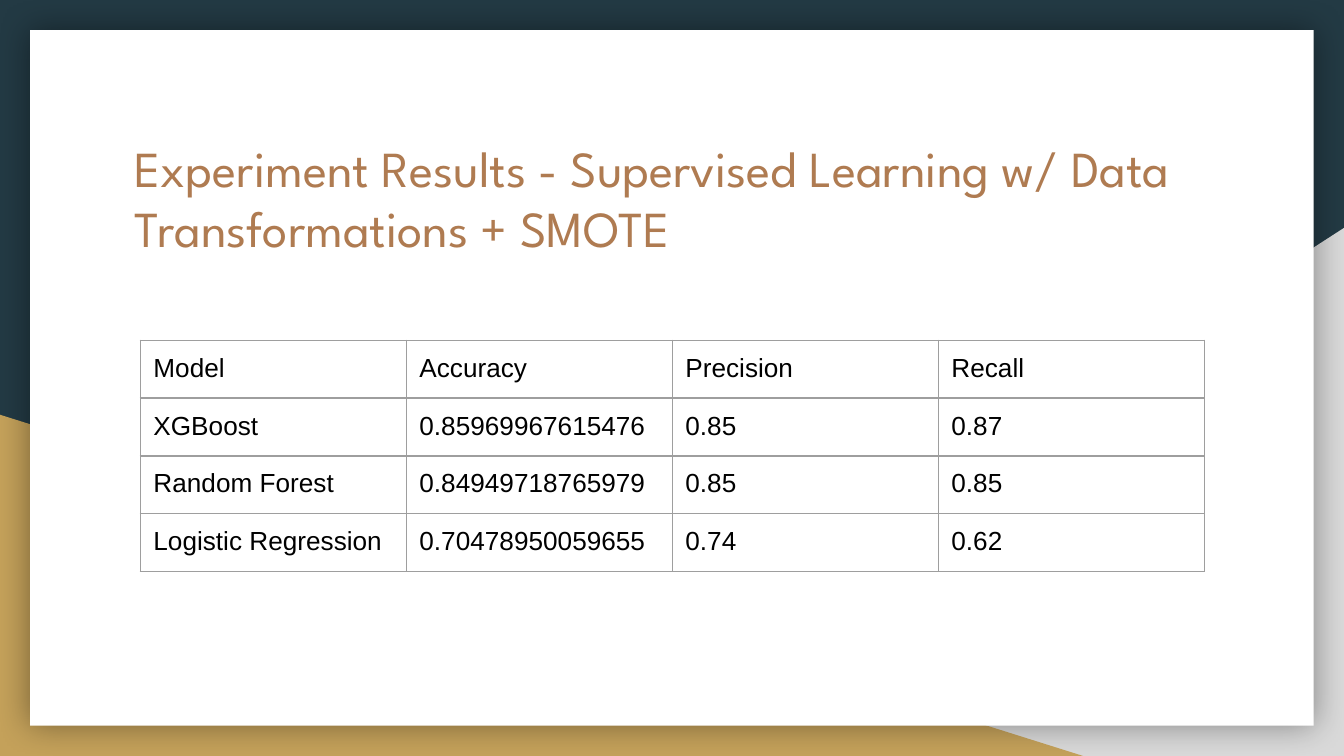
from collections import namedtuple

from lxml import etree
from pptx import Presentation
from pptx.dml.color import RGBColor
from pptx.enum.shapes import MSO_SHAPE
from pptx.enum.text import MSO_ANCHOR
from pptx.oxml.ns import qn
from pptx.util import Cm, Pt

RECTANGLE = MSO_SHAPE.RECTANGLE
TRIANGLE = MSO_SHAPE.RIGHT_TRIANGLE
TOP = MSO_ANCHOR.TOP
MARGIN = Cm(0.25)
BORDER_SIDES = ("a:lnL", "a:lnR", "a:lnT", "a:lnB")

Box = namedtuple("Box", "left top width height")

TITLE = "Experiment Results - Supervised Learning w/ Data Transformations + SMOTE"
RESULTS = [
    ("Model", "Accuracy", "Precision", "Recall"),
    ("XGBoost", "0.85969967615476", "0.85", "0.87"),
    ("Random Forest", "0.84949718765979", "0.85", "0.85"),
    ("Logistic Regression", "0.70478950059655", "0.74", "0.62"),
]


def color(value):
    """Turn a hex string into a colour."""
    return RGBColor.from_string(value)


def set_font(para, name, size, value):
    """Set the typeface, size and colour of a paragraph."""
    para.font.name = name
    para.font.size = Pt(size)
    para.font.color.rgb = color(value)


def add_plain_shape(page, kind, box, fill):
    """Add a filled shape without outline or shadow."""
    shape = page.shapes.add_shape(kind, *box)
    shape.shadow.inherit = False
    shape.fill.solid()
    shape.fill.fore_color.rgb = color(fill)
    shape.line.fill.background()
    return shape


def add_glow_shadow(shape, value, opacity, blur):
    """Give a shape a soft shadow on all sides."""
    effects = shape._element.spPr.find(qn("a:effectLst"))
    shadow = etree.SubElement(
        effects, qn("a:outerShdw"),
        blurRad=str(Pt(blur)), dist="0", dir="0", algn="ctr", rotWithShape="0",
    )
    tint = etree.SubElement(shadow, qn("a:srgbClr"), val=value)
    etree.SubElement(tint, qn("a:alpha"), val=str(opacity * 1000))


def add_backdrop(page, box):
    """Draw the dark background, the corner triangles and the white panel."""
    page.background.fill.solid()
    page.background.fill.fore_color.rgb = color("233A44")

    right, bottom = box.left + box.width, box.top + box.height
    width, height = Cm(15.44), Cm(9.98)
    grey_box = Box(right - width, bottom - height, width, height)
    grey = add_plain_shape(page, TRIANGLE, grey_box, "D9D9D9")
    grey._element.spPr.get_or_add_xfrm().set("flipH", "1")

    height = Cm(6.45)
    gold_box = Box(box.left, bottom - height, Cm(20.47), height)
    add_plain_shape(page, TRIANGLE, gold_box, "C4A15A")

    inset = Cm(0.57)
    panel_box = Box(box.left + inset, box.top + inset,
                    box.width - 2 * inset, box.height - 2 * inset)
    panel = add_plain_shape(page, RECTANGLE, panel_box, "FFFFFF")
    add_glow_shadow(panel, "000000", opacity=40, blur=18)


def add_title(page, box, text):
    """Place the slide title in its box."""
    frame = page.shapes.add_textbox(*box).text_frame
    frame.word_wrap = True
    frame.vertical_anchor = TOP
    frame.margin_left = frame.margin_right = MARGIN
    frame.margin_top = frame.margin_bottom = MARGIN
    para = frame.paragraphs[0]
    para.text = text
    set_font(para, "League Spartan", 27, "AF7B51")


def set_borders(cell, value, width):
    """Draw a solid line on each side of a table cell."""
    properties = cell._tc.get_or_add_tcPr()
    for side in BORDER_SIDES:
        line = etree.SubElement(properties, qn(side), w=str(Pt(width)))
        fill = etree.SubElement(line, qn("a:solidFill"))
        etree.SubElement(fill, qn("a:srgbClr"), val=value)


def add_results_table(page, box, rows):
    """Fill the box with an evenly divided, bordered table."""
    table = page.shapes.add_table(len(rows), len(rows[0]), *box).table
    table.first_row = False
    table.horz_banding = False
    for row, values in zip(table.rows, rows):
        for cell, value in zip(row.cells, values):
            cell.margin_left = cell.margin_right = MARGIN
            cell.margin_top = cell.margin_bottom = MARGIN
            set_borders(cell, "9E9E9E", 0.75)
            cell.fill.background()
            para = cell.text_frame.paragraphs[0]
            para.text = value
            set_font(para, "Arial", 14, "000000")


def main():
    """Build the results slide and save the deck."""
    deck = Presentation()
    deck.slide_width, deck.slide_height = Cm(25.4), Cm(14.29)
    page = deck.slides.add_slide(deck.slide_layouts[6])
    add_backdrop(page, Box(0, 0, deck.slide_width, deck.slide_height))
    add_title(page, Box(Cm(2.29), Cm(2.34), Cm(20.85), Cm(2.64)), TITLE)
    add_results_table(page, Box(Cm(2.65), Cm(6.43), Cm(20.11), Cm(4.26)), RESULTS)
    deck.save("out.pptx")


if __name__ == "__main__":
    main()
